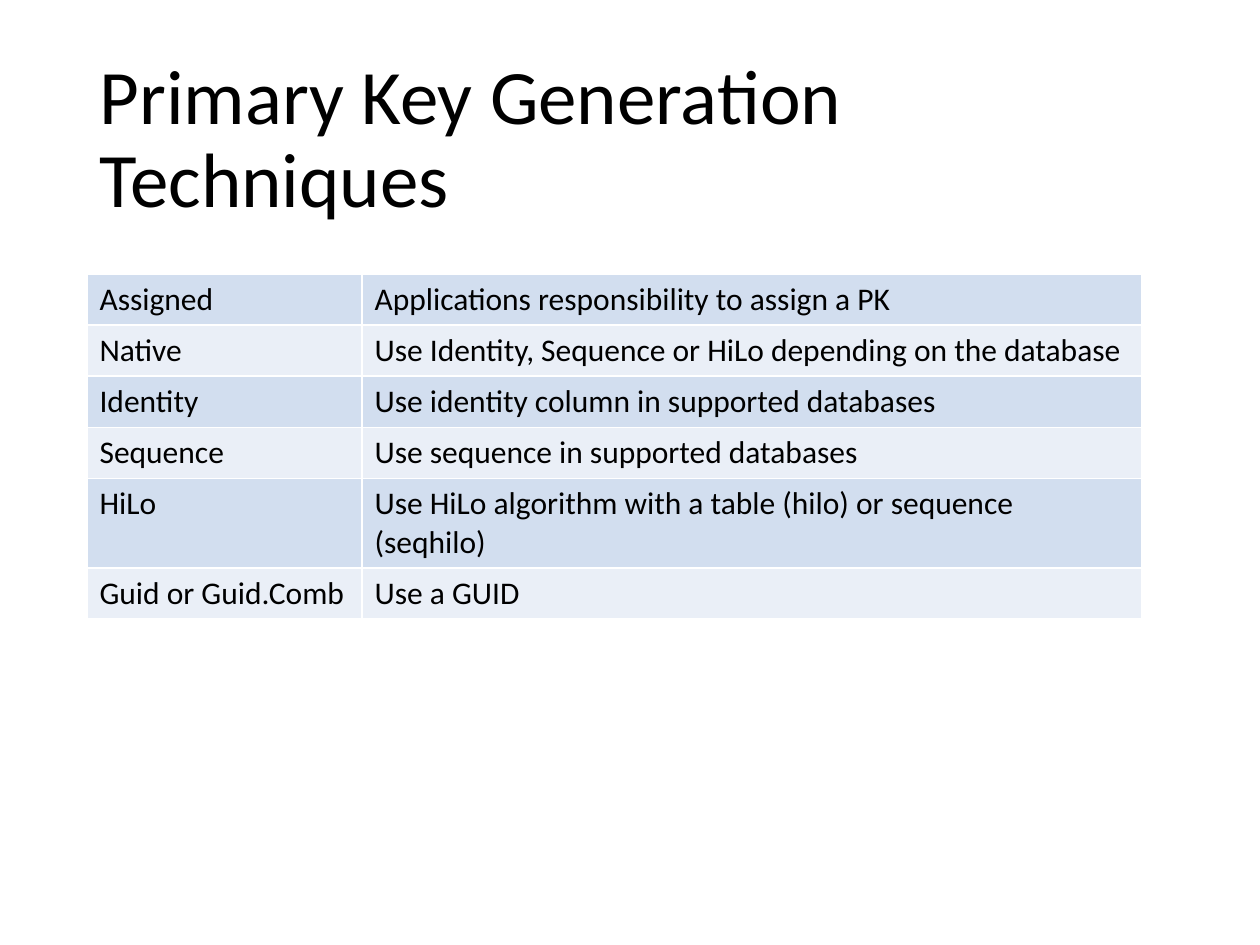
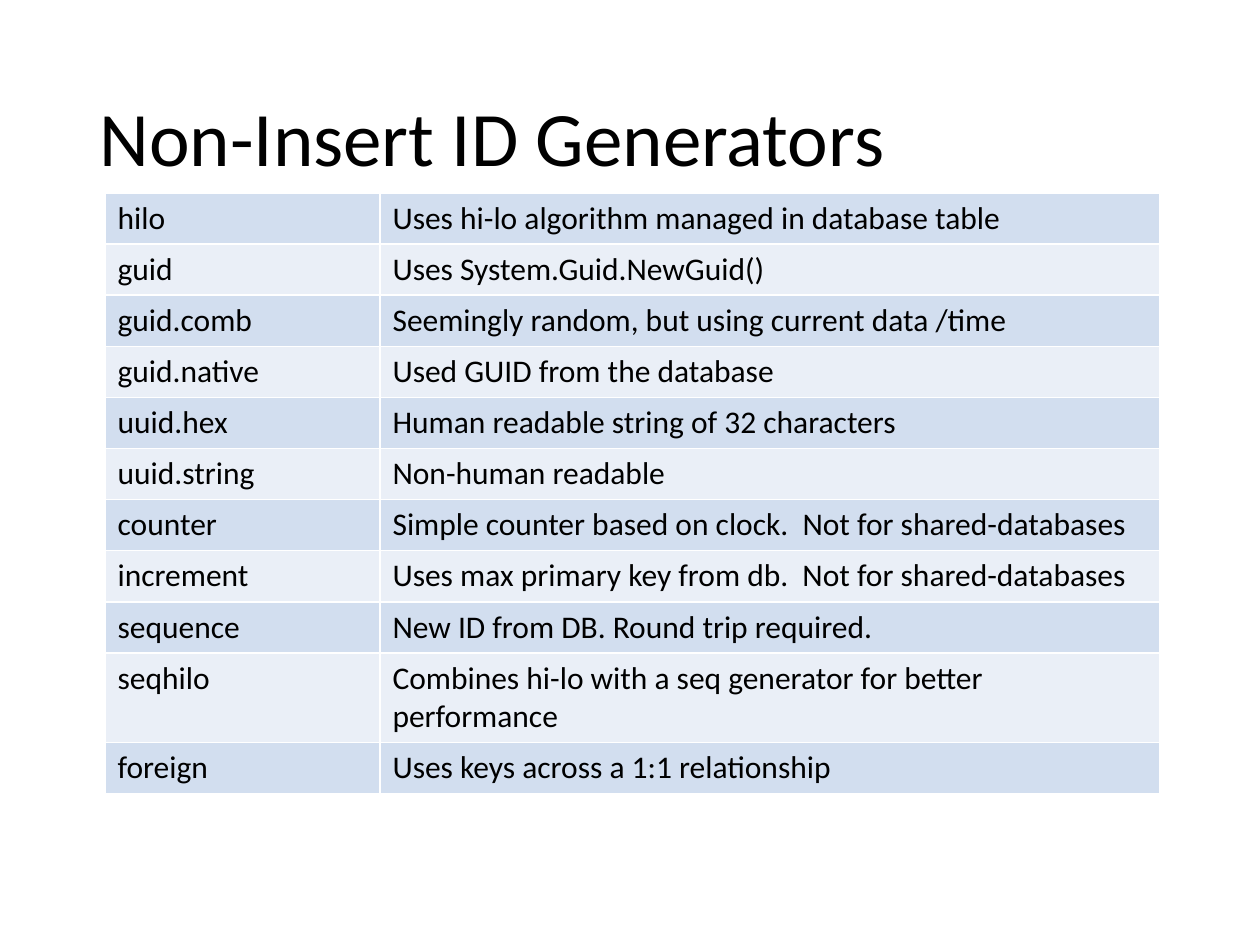
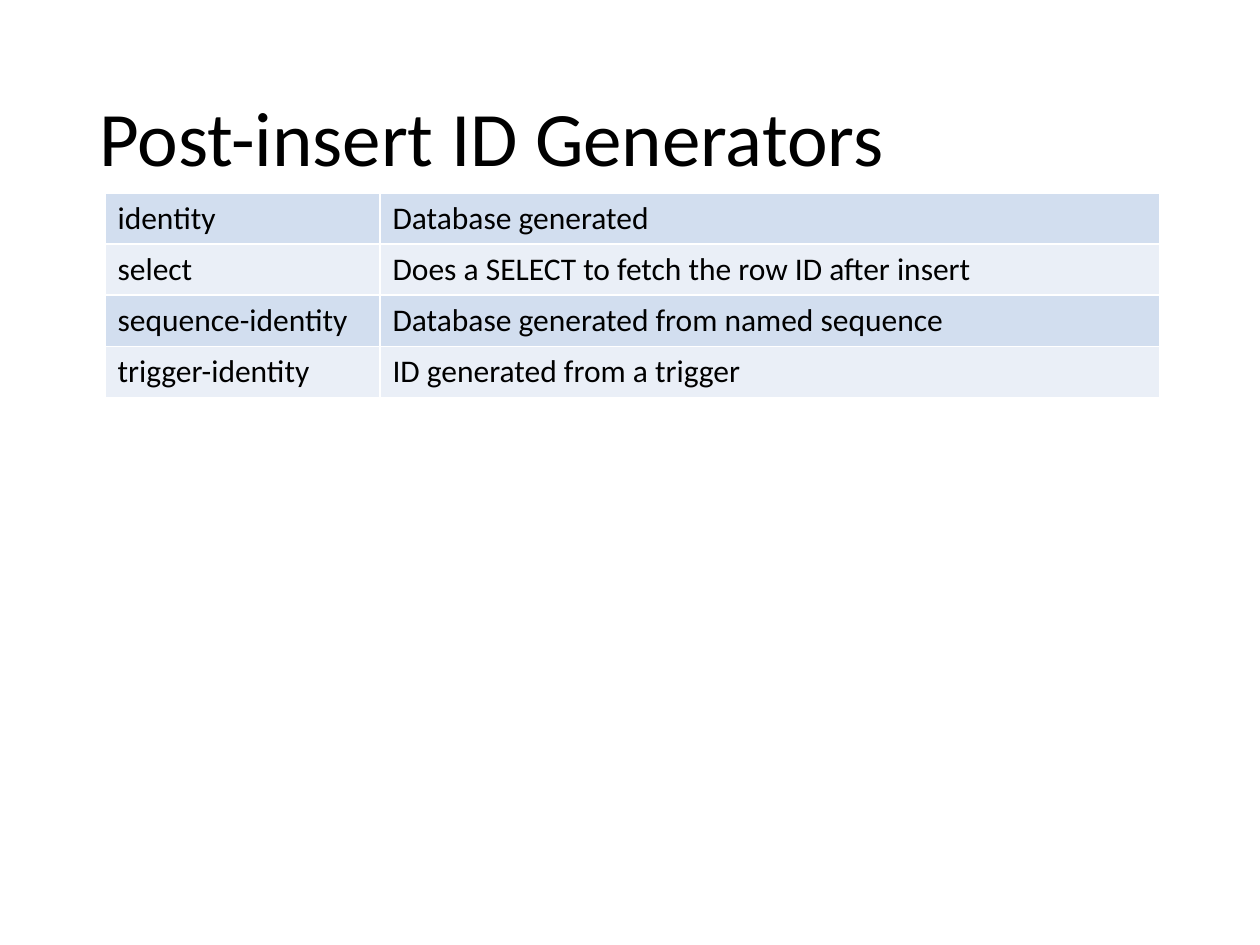
"""Build three slides on primary key and ID generators, each a title over a table."""
from dataclasses import dataclass

from lxml import etree
from pptx import Presentation, util as u
from pptx.dml.color import RGBColor
from pptx.enum import text
from pptx.oxml import ns

PAGES = [
    ("Primary Key Generation Techniques", (87, 274), [
        ("Assigned", "Applications responsibility to assign a PK"),
        ("Native", "Use Identity, Sequence or HiLo depending on the database"),
        ("Identity", "Use identity column in supported databases"),
        ("Sequence", "Use sequence in supported databases"),
        ("HiLo", "Use HiLo algorithm with a table (hilo) or sequence (seqhilo)"),
        ("Guid or Guid.Comb", "Use a GUID"),
    ]),
    ("Non-Insert ID Generators", (105, 193), [
        ("hilo", "Uses hi-lo algorithm managed in database table"),
        ("guid", "Uses System.Guid.NewGuid()"),
        ("guid.comb", "Seemingly random, but using current data /time"),
        ("guid.native", "Used GUID from the database"),
        ("uuid.hex", "Human readable string of 32 characters"),
        ("uuid.string", "Non-human readable"),
        ("counter", "Simple counter based on clock.  Not for shared-databases"),
        ("increment", "Uses max primary key from db.  Not for shared-databases"),
        ("sequence", "New ID from DB. Round trip required."),
        ("seqhilo", "Combines hi-lo with a seq generator for better performance"),
        ("foreign", "Uses keys across a 1:1 relationship"),
    ]),
    ("Post-insert ID Generators", (105, 193), [
        ("identity", "Database generated"),
        ("select", "Does a SELECT to fetch the row ID after insert"),
        ("sequence-identity", "Database generated from named sequence"),
        ("trigger-identity", "ID generated from a trigger"),
    ]),
]
PAGE = (1260, 945)
HEAD = (87, 50, 1086, 183)
COLS = (275, 780)
ROW = 51


@dataclass(frozen=True)
class Theme:
    font: str = "Calibri"
    ink: str = "000000"
    rule: str = "FFFFFF"
    bands: tuple = ("D2DEEF", "EAEFF7")
    head: int = 44
    body: int = 18
    line: int = 1


T = Theme()


def px(n):
    return u.Emu(n * u.Inches(1) // 126)


def style(frame, size):
    for para in frame.paragraphs:
        for run in para.runs:
            run.font.name = T.font
            run.font.size = u.Pt(size)
            run.font.color.rgb = RGBColor.from_string(T.ink)


def add_head(slide, words):
    head = slide.shapes.title
    head.left, head.top, head.width, head.height = map(px, HEAD)
    frame = head.text_frame
    frame.text = words
    frame.word_wrap = True
    frame.auto_size = text.MSO_AUTO_SIZE.NONE
    frame.vertical_anchor = text.MSO_ANCHOR.MIDDLE
    para = frame.paragraphs[0]
    para.alignment = text.PP_ALIGN.LEFT
    para.line_spacing = 0.9
    style(frame, T.head)


def add_rules(cell):
    props = cell._tc.get_or_add_tcPr()
    for side in "LRTB":
        line = etree.SubElement(props, ns.qn(f"a:ln{side}"), w=str(u.Pt(T.line)))
        fill = etree.SubElement(line, ns.qn("a:solidFill"))
        etree.SubElement(fill, ns.qn("a:srgbClr"), val=T.rule)


def add_grid(slide, spot, rows):
    size = (sum(COLS), ROW * len(rows))
    grid = slide.shapes.add_table(len(rows), len(COLS), *map(px, spot + size)).table
    grid.first_row = False
    for col, wide in zip(grid.columns, COLS):
        col.width = px(wide)
    for i, row in enumerate(rows):
        grid.rows[i].height = px(ROW)
        for j, words in enumerate(row):
            cell = grid.cell(i, j)
            cell.text_frame.text = words
            style(cell.text_frame, T.body)
            add_rules(cell)
            cell.fill.solid()
            cell.fill.fore_color.rgb = RGBColor.from_string(T.bands[i % 2])


def main():
    deck = Presentation()
    deck.slide_width, deck.slide_height = map(px, PAGE)
    for title, spot, rows in PAGES:
        slide = deck.slides.add_slide(deck.slide_layouts.get_by_name("Title Only"))
        add_head(slide, title)
        add_grid(slide, spot, rows)
    deck.save("out.pptx")


if __name__ == "__main__":
    main()
